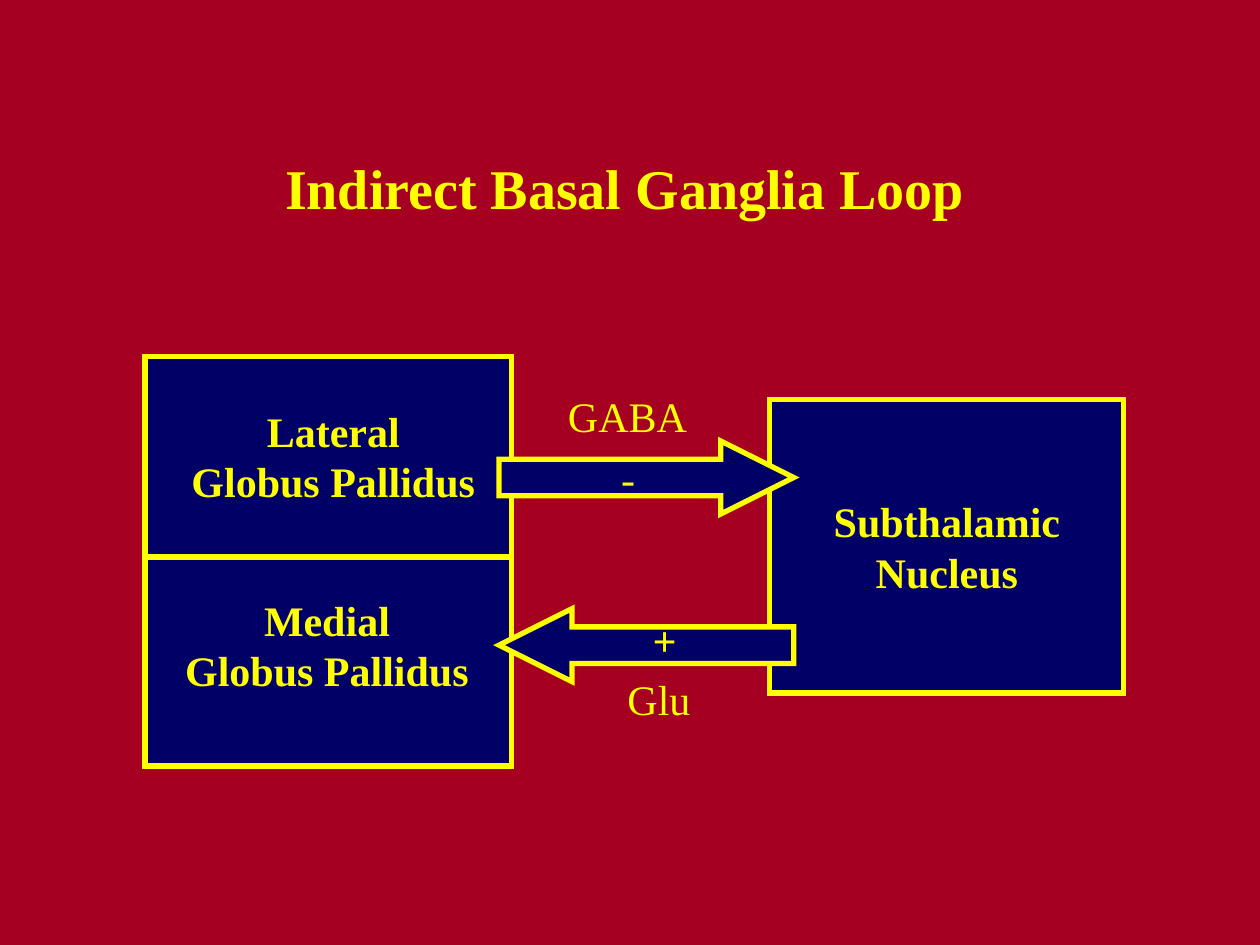
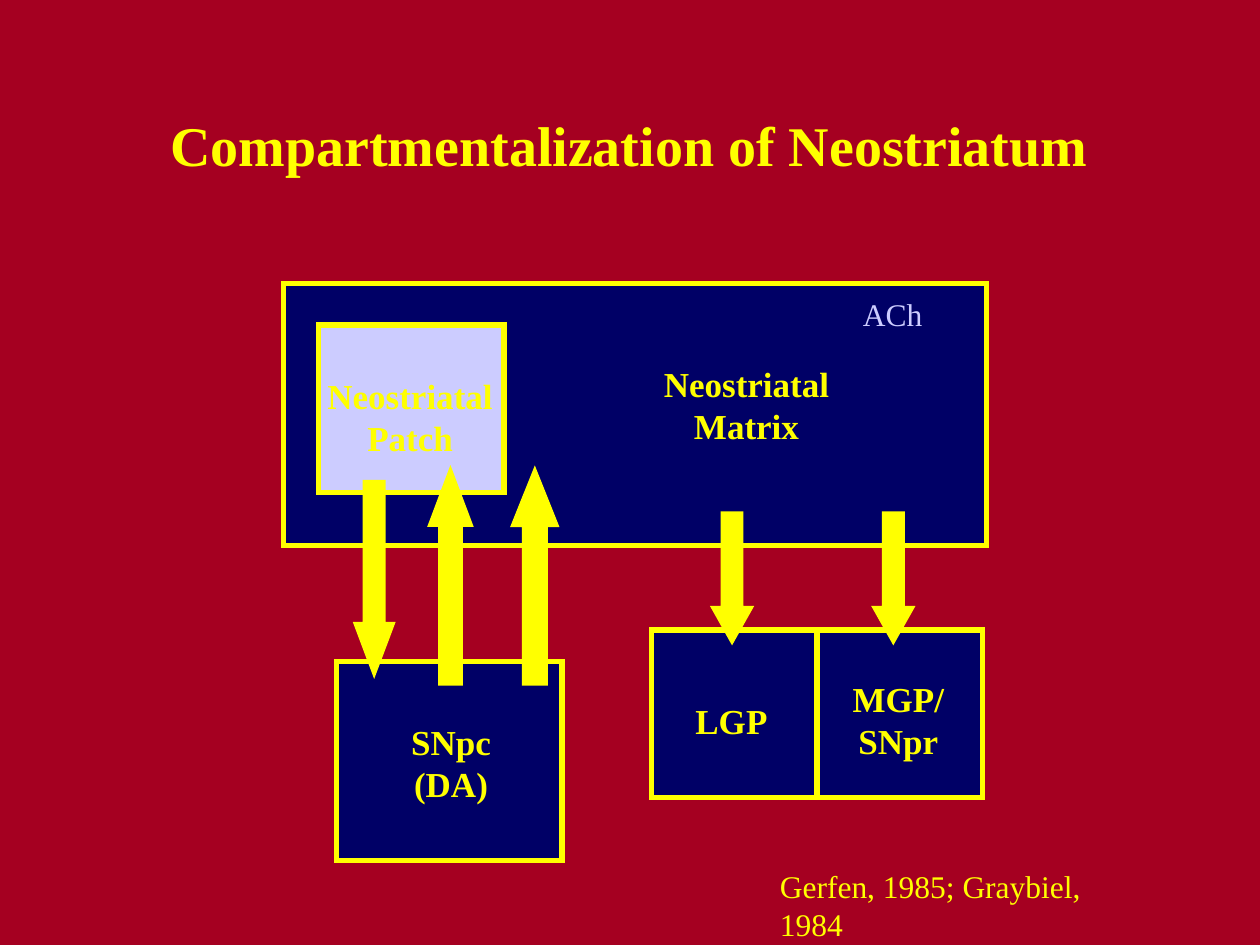
from dataclasses import dataclass

from lxml import etree
from pptx import Presentation
from pptx import util as u
from pptx.dml.color import RGBColor
from pptx.enum import shapes, text
from pptx.oxml import ns


@dataclass(frozen=True)
class Theme:
    background: RGBColor = RGBColor(0xA5, 0x00, 0x21)
    navy: RGBColor = RGBColor(0x00, 0x00, 0x66)
    yellow: RGBColor = RGBColor(0xFF, 0xFF, 0x00)
    lavender: RGBColor = RGBColor(0xCC, 0xCC, 0xFF)
    font: str = "Times New Roman"
    title_size: int = 32
    loop_size: int = 24
    region_size: int = 20
    note_size: int = 18
    outline: int = 3
    label_inset: float = 0.05


THEME = Theme()
RECT = shapes.MSO_SHAPE.RECTANGLE
RIGHT = shapes.MSO_SHAPE.RIGHT_ARROW
DOWN = shapes.MSO_SHAPE.DOWN_ARROW
UP = shapes.MSO_SHAPE.UP_ARROW


def inches(*lengths):
    return [u.Inches(length) for length in lengths]


def write(frame, lines, size, bold=False, color=THEME.yellow,
          align=text.PP_ALIGN.CENTER):
    """Put each line in its own paragraph, without wrapping."""
    frame.word_wrap = False
    for index, line in enumerate(lines):
        paragraph = frame.paragraphs[0] if index == 0 else frame.add_paragraph()
        paragraph.alignment = align
        run = paragraph.add_run()
        run.text = line
        run.font.name = THEME.font
        run.font.size = u.Pt(size)
        run.font.bold = bold
        run.font.color.rgb = color


def add_label(slide, at, lines, size, fill=None, **style):
    label = slide.shapes.add_textbox(*inches(*at))
    if fill is not None:
        label.fill.solid()
        label.fill.fore_color.rgb = fill
    frame = label.text_frame
    frame.margin_left = frame.margin_right = u.Inches(THEME.label_inset)
    write(frame, lines, size, **style)


def add_outlined(slide, kind, at, fill=THEME.navy):
    """Add a filled shape with the sharp-cornered yellow outline."""
    shape = slide.shapes.add_shape(kind, *inches(*at))
    shape.shadow.inherit = False
    shape.fill.solid()
    shape.fill.fore_color.rgb = fill
    shape.line.color.rgb = THEME.yellow
    shape.line.width = u.Pt(THEME.outline)
    outline = shape._element.spPr.find(ns.qn("a:ln"))
    etree.SubElement(outline, ns.qn("a:miter"), lim="800000")
    return shape


def add_arrow(slide, kind, at, head, fill=THEME.yellow):
    """Add a block arrow; head is its length relative to the arrow's breadth."""
    arrow = add_outlined(slide, kind, at, fill)
    arrow.adjustments[0] = 0.5
    arrow.adjustments[1] = head
    return arrow


def add_divider(slide, start, end):
    divider = slide.shapes.add_connector(
        shapes.MSO_CONNECTOR.STRAIGHT, *inches(*start, *end))
    divider.line.color.rgb = THEME.yellow
    divider.line.width = u.Pt(THEME.outline)
    etree.SubElement(divider._element.spPr, ns.qn("a:effectLst"))
    return divider


def add_titled_slide(deck, title, at):
    slide = deck.slides.add_slide(deck.slide_layouts[6])
    slide.background.fill.solid()
    slide.background.fill.fore_color.rgb = THEME.background
    add_label(slide, at, [title], THEME.title_size, bold=True)
    return slide


def build_indirect_loop(deck):
    slide = add_titled_slide(deck, "Indirect Basal Ganglia Loop",
                             (2.16, 1.17, 5.6, 0.64))
    size = THEME.loop_size

    subthalamic = add_outlined(slide, RECT, (6.11, 3.17, 2.81, 2.33))
    subthalamic.text_frame.vertical_anchor = text.MSO_ANCHOR.MIDDLE
    write(subthalamic.text_frame, ["Subthalamic", "Nucleus"], size, bold=True)

    add_outlined(slide, RECT, (1.15, 2.83, 2.91, 3.25))
    for part, left, top in [("Lateral", 1.42, 3.17), ("Medial", 1.37, 4.67)]:
        add_label(slide, (left, top, 2.45, 0.9), [part, "Globus Pallidus"],
                  size, fill=THEME.navy, bold=True)

    for sign, top, rotation, bold in [("-", 3.5, 0, False), ("+", 4.83, 180, True)]:
        pathway = add_arrow(slide, RIGHT, (3.96, top, 2.34, 0.58), 1, THEME.navy)
        pathway.rotation = rotation
        pathway.text_frame.vertical_anchor = text.MSO_ANCHOR.MIDDLE
        write(pathway.text_frame, [sign], size, bold=bold)

    add_label(slide, (4.41, 3.05, 1.14, 0.5), ["GABA"], size)
    add_label(slide, (4.88, 5.3, 0.7, 0.5), ["Glu"], size)
    add_divider(slide, (1.17, 4.42), (4.07, 4.42))


def build_neostriatum(deck):
    slide = add_titled_slide(deck, "Compartmentalization of Neostriatum",
                             (1.25, 0.83, 7.49, 0.64))

    add_outlined(slide, RECT, (2.25, 2.25, 5.58, 2.08))
    add_outlined(slide, RECT, (2.53, 2.58, 1.47, 1.33), THEME.lavender)
    add_outlined(slide, RECT, (2.67, 5.25, 1.79, 1.58))
    pallidum = add_outlined(slide, RECT, (5.17, 5, 2.63, 1.33))
    divider = add_divider(slide, (6.48, 5), (6.48, 6.33))
    divider.begin_connect(pallidum, 0)
    divider.end_connect(pallidum, 2)

    regions = [
        (["Neostriatal", "Matrix"], (5.17, 2.83, 1.51, 0.77)),
        (["Neostriatal", "Patch"], (2.5, 2.92, 1.51, 0.77)),
        (["SNpc", "(DA)"], (3.08, 5.67, 1, 0.77)),
        (["LGP"], (5.42, 5.5, 0.77, 0.44)),
        (["MGP/", "SNpr"], (6.67, 5.33, 0.92, 0.77)),
    ]
    for lines, at in regions:
        add_label(slide, at, lines, THEME.region_size, bold=True)

    projections = [
        (DOWN, (2.83, 3.83, 0.28, 1.5), 1.33),
        (UP, (3.42, 3.75, 0.31, 1.67), 1.33),
        (UP, (4.08, 3.75, 0.33, 1.67), 1.25),
        (DOWN, (5.67, 4.08, 0.28, 1), 0.89),
        (DOWN, (6.95, 4.08, 0.28, 1), 0.89),
    ]
    for kind, at, head in projections:
        add_arrow(slide, kind, at, head)

    add_label(slide, (6.75, 2.29, 0.67, 0.4), ["ACh"], THEME.note_size,
              color=THEME.lavender)
    add_label(slide, (6.14, 6.83, 3.05, 0.4), ["Gerfen, 1985; Graybiel, 1984"],
              THEME.note_size, align=text.PP_ALIGN.LEFT)


def main():
    deck = Presentation()
    deck.slide_width, deck.slide_height = inches(10, 7.5)
    build_indirect_loop(deck)
    build_neostriatum(deck)
    deck.save("out.pptx")


if __name__ == "__main__":
    main()
